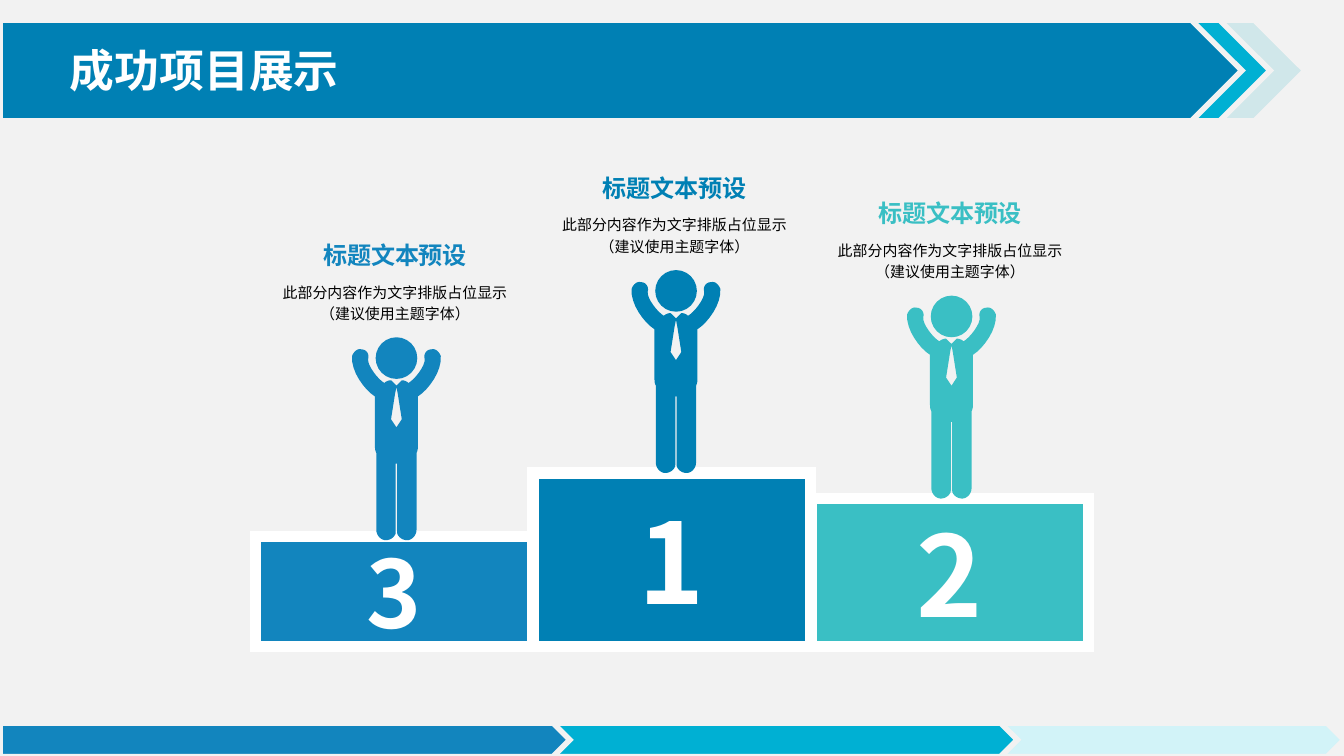
"""Builds a podium slide showing three successful projects."""
from copy import deepcopy
from dataclasses import dataclass

from lxml.etree import SubElement
from pptx import Presentation
from pptx.dml.color import RGBColor
from pptx.enum.shapes import MSO_SHAPE as SHAPE
from pptx.enum.text import MSO_ANCHOR as ANCHOR, PP_ALIGN as ALIGN
from pptx.oxml.ns import qn
from pptx.util import Inches, Pt


@dataclass(frozen=True)
class Theme:
    font: str = "Noto Sans CJK SC"
    back: str = "F2F2F2"
    white: str = "FFFFFF"
    black: str = "000000"
    deep: str = "0080B4"
    blue: str = "1285BE"
    cyan: str = "00B0D3"
    teal: str = "3ABFC4"
    mist: str = "D0E7EA"
    ice: str = "D2F3F8"
    title: float = 24
    label: float = 12.92
    body: float = 8


T = Theme()
WIDTH = 10
HEIGHT = WIDTH * 9 / 16
TITLE = "成功项目展示"
LABEL = "标题文本预设"
NOTE = "此部分内容作为文字排版占位显示\n（建议使用主题字体）"

BANDS = [
    (0.15, 0.75, [(9.71, T.mist), (9.45, T.cyan), (9.24, T.deep)]),
    (5.38, 0.25, [(10, T.ice), (7.57, T.cyan), (4.24, T.blue)]),
]
STEPS = [
    dict(rank="3", size=50, color=T.blue, top=3.99, center=2.95, head=2.51),
    dict(rank="1", size=60, color=T.deep, top=3.52, center=5.03, head=2.01),
    dict(rank="2", size=60, color=T.teal, top=3.71, center=7.08, head=2.20),
]
STEP_LEFT, STEP_RIGHT, STEP_BASE = 1.9, 8.1, 4.81
STEP_W = (STEP_RIGHT - STEP_LEFT) / len(STEPS)
TEXT_W, HEAD_W = 1.83, 0.31

HALF_BODY = [
    [(0, 0.36)], [(0.04, 0.32)], [(0.06, 0.32), (0.08, 0.33), (0.09, 0.34)],
    [(0.13, 0.32), (0.22, 0.21), (0.21, 0.16)],
    [(0.20, 0.13), (0.22, 0.09), (0.26, 0.09)],
    [(0.29, 0.08), (0.32, 0.11), (0.33, 0.14)],
    [(0.34, 0.25), (0.24, 0.39), (0.16, 0.44)],
    [(0.16, 0.80)], [(0.16, 0.82), (0.16, 0.84), (0.15, 0.86)],
    [(0.15, 1.43)], [(0.15, 1.48), (0.11, 1.51), (0.08, 1.51)],
    [(0.04, 1.51), (0, 1.48), (0, 1.43)],
    [(0, 0.94)],
]
HALF_TIE = [[(0, 0.37)], [(0.01, 0.42)], [(0.04, 0.61)], [(0, 0.67)]]
LEG_GAP = 0.01


def rgb(color):
    return RGBColor.from_string(color)


def write(sp, text, size, color, bold=False, align=ALIGN.CENTER, anchor=ANCHOR.TOP,
          wrap=False, insets=(0.08, 0), spacing=None):
    tf = sp.text_frame
    tf.word_wrap, tf.vertical_anchor = wrap, anchor
    tf.margin_left = tf.margin_right = Inches(insets[0])
    tf.margin_top = tf.margin_bottom = Inches(insets[1])
    p = tf.paragraphs[0]
    p.text, p.alignment = text, align
    if spacing:
        p.line_spacing = spacing
    for r in p.runs:
        r.font.size, r.font.bold, r.font.name = Pt(size), bold, T.font
        r.font.color.rgb = rgb(color)
        SubElement(r.font._element, qn("a:ea"), typeface=T.font)
    for br in p._p.findall(qn("a:br")):
        br.append(deepcopy(p.runs[0].font._element))


def paint(sp, color, line=None, weight=0):
    sp.shadow.inherit = False
    sp.fill.solid()
    sp.fill.fore_color.rgb = rgb(color)
    if line:
        sp.line.color.rgb, sp.line.width = rgb(line), Pt(weight)
        SubElement(sp.line._get_or_add_ln(), qn("a:miter"), lim="800000")
    else:
        sp.line.fill.background()


def add_shape(s, kind, box, color, line=None, weight=0):
    sp = s.shapes.add_shape(kind, *map(Inches, box))
    paint(sp, color, line, weight)
    return sp


def add_text(s, box, text, size, color, **fmt):
    write(s.shapes.add_textbox(*map(Inches, box)), text, size, color, **fmt)


def flatten(segments, steps=8):
    """Turn lines and cubic curves into a list of points."""
    pts = []
    for seg in segments:
        if len(seg) == 1:
            pts.append(seg[0])
            continue
        a, (b, c, d) = pts[-1], seg
        for t in (i / steps for i in range(1, steps + 1)):
            u = 1 - t
            pts.append(tuple(u**3 * a[k] + 3 * u * u * t * b[k]
                             + 3 * u * t * t * c[k] + t**3 * d[k] for k in (0, 1)))
    return pts


def outline(half, x, y, gap=0.0):
    right = [(max(px, gap / 2) if i else px, py) for i, (px, py) in enumerate(flatten(half))]
    pts = right + [(-px, py) for px, py in right[:0:-1]]
    return [(Inches(x + px), Inches(y + py)) for px, py in pts]


def add_figure(s, x, y, color):
    add_shape(s, SHAPE.OVAL, (x - HEAD_W / 2, y, HEAD_W, HEAD_W), color)
    body, tie = outline(HALF_BODY, x, y, LEG_GAP), outline(HALF_TIE, x, y)
    fb = s.shapes.build_freeform(*body[0])
    fb.add_line_segments(body[1:], close=True)
    fb.move_to(*tie[0])
    fb.add_line_segments(tie[1:], close=True)
    paint(fb.convert_to_shape(), color)


def main():
    prs = Presentation()
    prs.slide_width, prs.slide_height = Inches(WIDTH), Inches(HEIGHT)
    s = prs.slides.add_slide(prs.slide_layouts[5])
    s.background.fill.solid()
    s.background.fill.fore_color.rgb = rgb(T.back)

    for top, height, arrows in BANDS:
        for width, color in arrows:
            add_shape(s, SHAPE.PENTAGON, (0, top, width, height), color, T.back, 3)

    for i, step in enumerate(STEPS):
        box = (STEP_LEFT + i * STEP_W, step["top"], STEP_W, STEP_BASE - step["top"])
        sp = add_shape(s, SHAPE.RECTANGLE, box, step["color"], T.white, 6)
        write(sp, step["rank"], step["size"], T.white, bold=True,
              anchor=ANCHOR.MIDDLE, insets=(0.1, 0.05))

    for step in STEPS:
        x, y, color = step["center"], step["head"], step["color"]
        left = x - TEXT_W / 2 - 0.01
        add_text(s, (left, y - 0.49, TEXT_W, 0.44), NOTE, T.body, T.black,
                 anchor=ANCHOR.MIDDLE, wrap=True, insets=(0.07, 0), spacing=1.2)
        add_text(s, (left, y - 0.72, TEXT_W, 0.18), LABEL, T.label, color, bold=True)
        add_figure(s, x, y, color)

    title = s.shapes.title
    title.left, title.top, title.width, title.height = map(Inches, (0.44, 0.28, 3.34, 0.48))
    write(title, TITLE, T.title, T.white, bold=True, align=ALIGN.LEFT,
          wrap=True, insets=(0.08, 0.04))
    s.shapes._spTree.append(title._element)
    prs.save("out.pptx")


if __name__ == "__main__":
    main()
